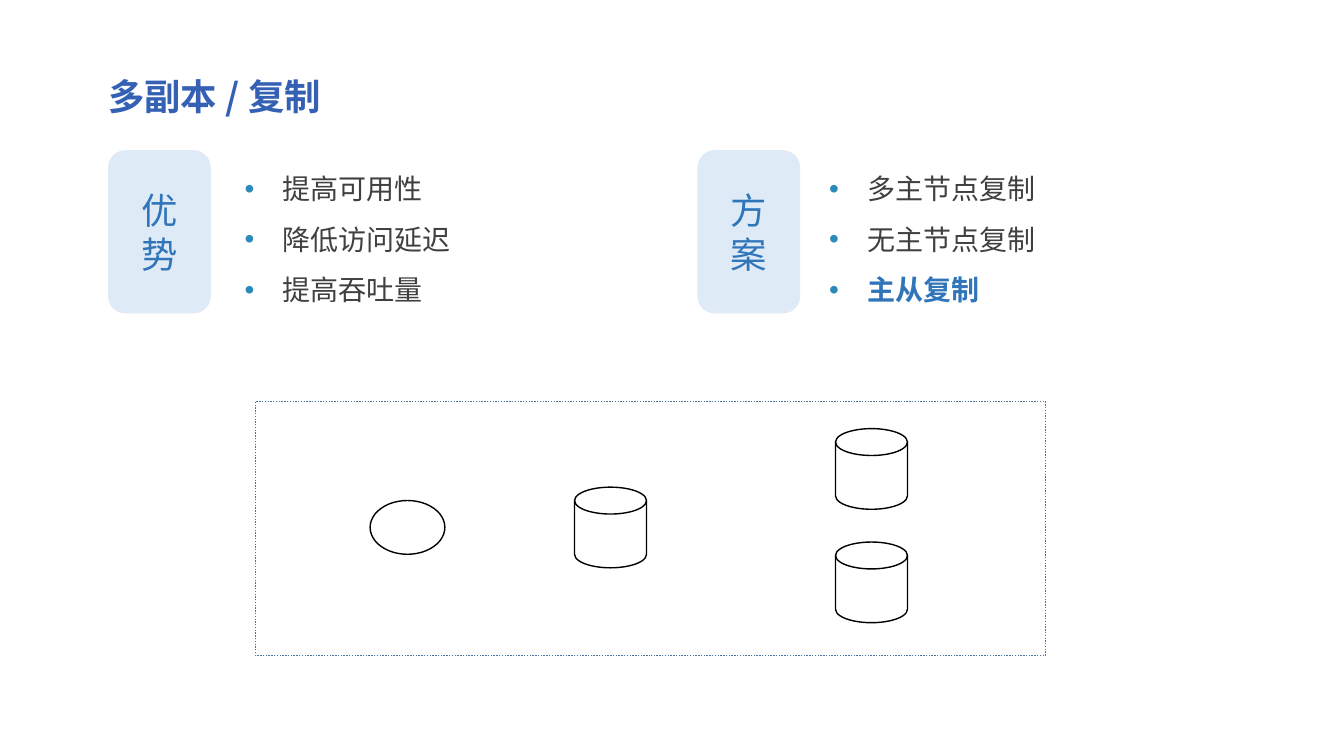
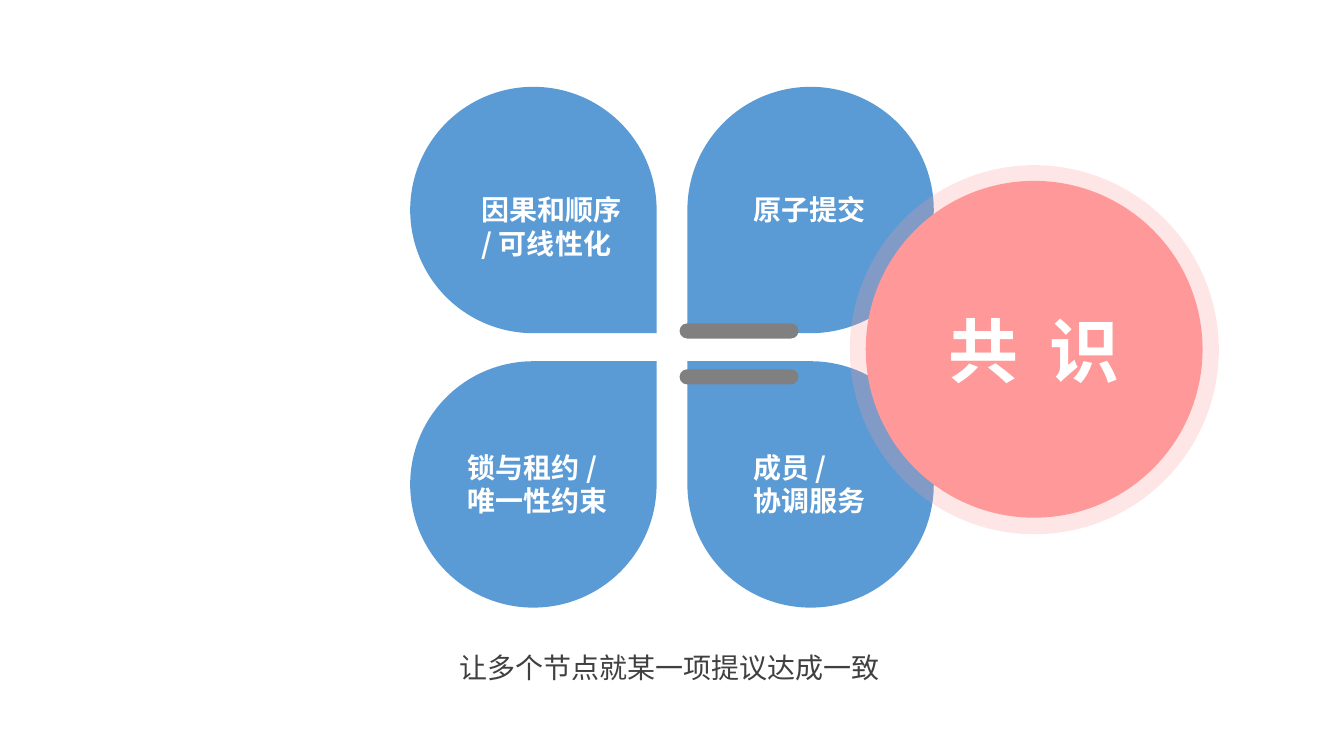
from dataclasses import dataclass

from lxml.etree import SubElement
from pptx import Presentation
from pptx.dml.color import RGBColor
from pptx.enum.dml import MSO_LINE
from pptx.enum.shapes import MSO_SHAPE as Preset
from pptx.enum.text import MSO_ANCHOR as Anchor, PP_ALIGN as Align
from pptx.oxml.ns import qn
from pptx.util import Pt


@dataclass(frozen=True)
class Theme:
    font: str = "Noto Sans CJK SC"
    title: str = "3561B4"
    body: str = "404040"
    accent: str = "3075BA"
    bullet: str = "2A8ABA"
    label_fill: str = "DEEBF7"
    frame: str = "43739E"
    outline: str = "000000"
    petal: str = "5B9BD5"
    consensus: str = "FF9999"
    bar: str = "808080"
    white: str = "FFFFFF"
    heading_size: int = 26
    body_size: int = 20
    consensus_size: int = 50


theme = Theme()


def add_figure(shapes, preset, box, fill=None, line=None):
    figure = shapes.add_shape(preset, *map(Pt, box))
    figure.shadow.inherit = False
    if fill:
        figure.fill.solid()
        figure.fill.fore_color.rgb = RGBColor.from_string(fill)
    else:
        figure.fill.background()
    if line:
        figure.line.color.rgb = RGBColor.from_string(line)
        figure.line.width = Pt(1)
    else:
        figure.line.fill.background()
    return figure


def add_run(paragraph, text, size, color, bold=False):
    run = paragraph.add_run()
    run.text = text
    run.font.size = Pt(size)
    run.font.bold = bold
    run.font.color.rgb = RGBColor.from_string(color)
    run.font.name = theme.font
    SubElement(run.font._element, qn("a:ea"), typeface=theme.font)
    return run


deck = Presentation()
deck.slide_width, deck.slide_height = Pt(960), Pt(540)
title_only, blank = deck.slide_layouts[5], deck.slide_layouts[6]

replication = deck.slides.add_slide(title_only)
title = replication.shapes.title
title.left, title.top, title.width, title.height = map(Pt, (70, 49, 833, 39))
title.text_frame.vertical_anchor = Anchor.TOP
heading = title.text_frame.paragraphs[0]
heading.alignment = Align.LEFT
add_run(heading, "多副本 / 复制", theme.heading_size, theme.title, True)

topics = [
    (77.2, 167.7, "优势", ["提高可用性", "降低访问延迟", "提高吞吐量"], None),
    (498.2, 585.2, "方案", ["多主节点复制", "无主节点复制", "主从复制"], "主从复制"),
]
topic_top, topic_height = 107.3, 116.6
for label_left, list_left, name, points, chosen in topics:
    label = add_figure(replication.shapes, Preset.ROUNDED_RECTANGLE,
                       (label_left, topic_top, 73.4, topic_height), theme.label_fill)
    label_text = label.text_frame
    for index, character in enumerate(name):
        paragraph = label_text.add_paragraph() if index else label_text.paragraphs[0]
        paragraph.alignment = Align.CENTER
        add_run(paragraph, character, theme.heading_size, theme.accent)

    point_list = replication.shapes.add_textbox(
        *map(Pt, (list_left, topic_top, 248, topic_height))).text_frame
    point_list.word_wrap = True
    for index, point in enumerate(points):
        paragraph = point_list.add_paragraph() if index else point_list.paragraphs[0]
        paragraph.line_spacing = 1.5
        properties = paragraph._p.get_or_add_pPr()
        properties.set("marL", str(Pt(27)))
        properties.set("indent", str(Pt(-27)))
        bullet_color = SubElement(properties, qn("a:buClr"))
        SubElement(bullet_color, qn("a:srgbClr"), val=theme.bullet)
        SubElement(properties, qn("a:buFont"), typeface="Arial")
        SubElement(properties, qn("a:buChar"), char="•")
        is_chosen = point == chosen
        add_run(paragraph, point, theme.body_size,
                theme.accent if is_chosen else theme.body, is_chosen)

diagram = add_figure(replication.shapes, Preset.RECTANGLE,
                     (182.4, 286.8, 564.4, 181.4), line=theme.frame)
diagram.line.dash_style = MSO_LINE.ROUND_DOT
add_figure(replication.shapes, Preset.OVAL, (264.4, 357.5, 53.4, 38.4), line=theme.outline)
for node_left, node_top in [(410.4, 348), (596.8, 306.2), (596.8, 387.2)]:
    add_figure(replication.shapes, Preset.FLOWCHART_MAGNETIC_DISK,
               (node_left, node_top, 51.4, 57.6), line=theme.outline)

agreement = deck.slides.add_slide(blank)
petals = agreement.shapes.add_group_shape().shapes
petal_size, petal_left, petal_top = 176, 293, 62
column_step, row_step = 198, 196
for column, row, rotation in [(0, 1, 0), (1, 1, 270), (0, 0, 90), (1, 0, 180)]:
    petal = add_figure(petals, Preset.TEAR,
                       (petal_left + column * column_step, petal_top + row * row_step,
                        petal_size, petal_size), theme.petal)
    petal.rotation = rotation

problems = [
    (337, 134, 115, ["因果和顺序", "/ 可线性化"]),
    (531, 134, 95, ["原子提交"]),
    (327, 318, 115, ["锁与租约 /", "唯一性约束"]),
    (531, 318, 95, ["成员 /", "协调服务"]),
]
for left, top, width, lines in problems:
    problem = petals.add_textbox(*map(Pt, (left, top, width, 8 + 24 * len(lines)))).text_frame
    problem.word_wrap = False
    for index, line in enumerate(lines):
        paragraph = problem.add_paragraph() if index else problem.paragraphs[0]
        add_run(paragraph, line, theme.body_size, theme.white, True)

summary = agreement.shapes.add_textbox(*map(Pt, (321, 449, 325, 44))).text_frame
summary.word_wrap = True
summary.paragraphs[0].line_spacing = 1.5
add_run(summary.paragraphs[0], "让多个节点就某一项提议达成一致", theme.body_size, theme.body)

consensus = agreement.shapes.add_group_shape().shapes
halo = add_figure(consensus, Preset.OVAL, (607, 118, 263.6, 263.6), theme.consensus)
halo_color = halo.fill._xPr.find(qn("a:solidFill")).find(qn("a:srgbClr"))
SubElement(halo_color, qn("a:alpha"), val="24000")
core = add_figure(consensus, Preset.OVAL, (618.4, 129.2, 240.6, 240.6), theme.consensus)
core_line = core.text_frame.paragraphs[0]
core_line.alignment = Align.CENTER
for text, spacing in [("共", 0), (" ", 11), ("识", 0)]:
    run = add_run(core_line, text, theme.consensus_size, theme.white, True)
    run.font._element.set("spc", str(spacing * 100))
for bar_top in (231, 263.8):
    bar = add_figure(consensus, Preset.ROUNDED_RECTANGLE, (485.4, bar_top, 85, 10.8), theme.bar)
    bar.adjustments[0] = 0.5

deck.save("out.pptx")
